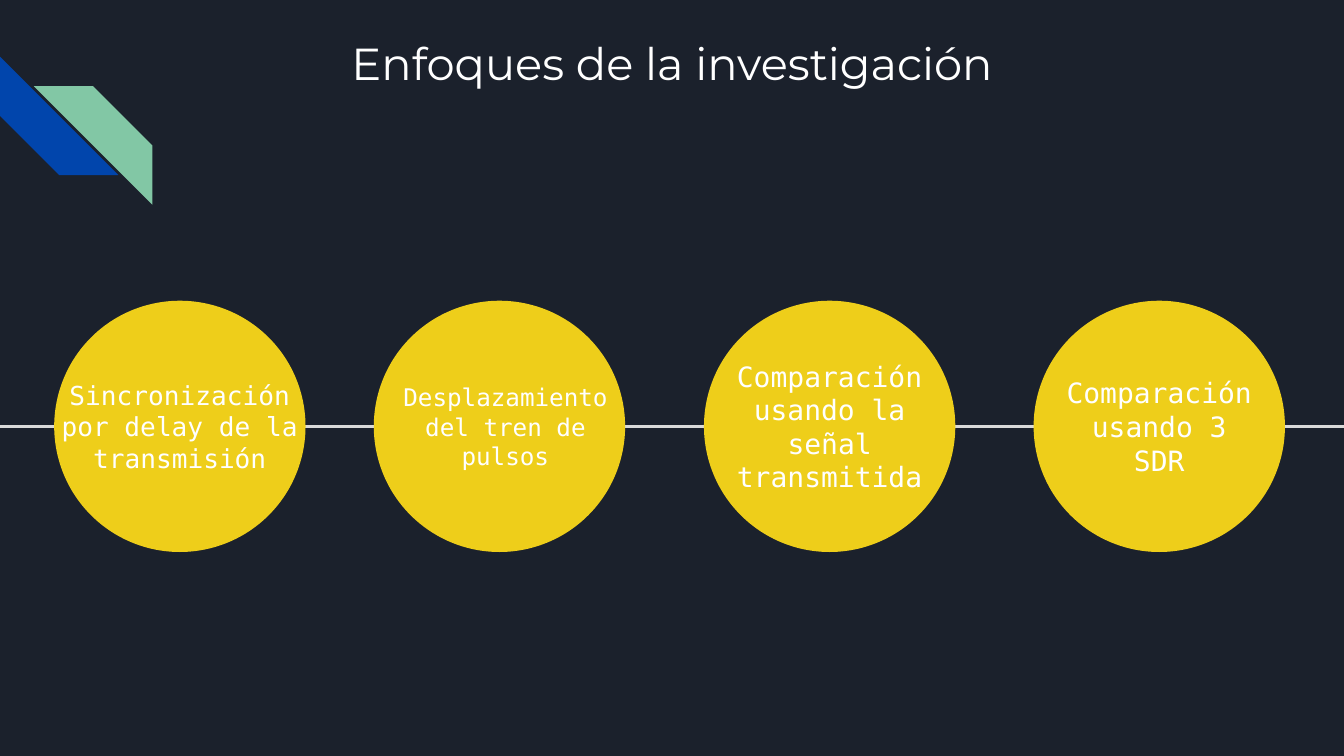
from pptx import Presentation
from pptx.dml.color import RGBColor
from pptx.enum import shapes as kinds, text as t
from pptx.oxml.ns import qn
from pptx.util import Cm, Pt
from lxml import etree

TITLE = "Enfoques de la investigación"
# text, circle centre, text centre, text width, text height (cm), font size (pt)
APPROACHES = [
    ("Sincronización por delay de la transmisión", 3.40, 3.40, 5.08, 2.54, 14),
    ("Desplazamiento del tren de pulsos", 9.44, 9.55, 5.08, 3.20, 13),
    ("Comparación usando la señal transmitida", 15.68, 15.68, 4.22, 1.68, 15),
    ("Comparación usando 3 SDR", 21.91, 21.91, 4.22, 1.68, 15),
]
# left, top (cm), rotation, colour name
STRIPES = [(0, 1.07, 270, "blue"), (0.64, 1.63, 90, "green")]
COLORS = {"background": "1B212C", "blue": "0145AC", "green": "82C7A5",
          "line": "D9D9D9", "circle": "EECE1A", "text": "FFFFFF"}
WIDTH, HEIGHT = 25.4, 14.29
AXIS_Y, DIAMETER, STRIPE_SIZE, INSET = 8.06, 4.75, 2.24, 0.25


def color(name):
    return RGBColor.from_string(COLORS[name])


def add_filled(page, kind, left, top, size, fill):
    shape = page.shapes.add_shape(kind, Cm(left), Cm(top), Cm(size), Cm(size))
    shape.shadow.inherit = False
    shape.fill.solid()
    shape.fill.fore_color.rgb = color(fill)
    shape.line.fill.background()
    return shape


def write(box, words, size, font, anchor):
    frame = box.text_frame
    frame.word_wrap = True
    frame.auto_size = t.MSO_AUTO_SIZE.NONE
    frame.vertical_anchor = anchor
    frame.margin_left = frame.margin_right = Cm(INSET)
    frame.margin_top = frame.margin_bottom = Cm(INSET)
    frame.text = words
    para = frame.paragraphs[0]
    para.alignment = t.PP_ALIGN.CENTER
    para.font.size = Pt(size)
    para.font.name = font
    para.font.color.rgb = color("text")


deck = Presentation()
deck.slide_width, deck.slide_height = Cm(WIDTH), Cm(HEIGHT)
page = deck.slides.add_slide(deck.slide_layouts[5])
page.background.fill.solid()
page.background.fill.fore_color.rgb = color("background")

title = page.shapes.title
title.left, title.top, title.width, title.height = Cm(0), Cm(0.43), Cm(WIDTH), Cm(2.54)
write(title, TITLE, 24, "Montserrat", t.MSO_ANCHOR.TOP)

for left, top, rotation, fill in STRIPES:
    stripe = add_filled(page, kinds.MSO_SHAPE.DIAGONAL_STRIPE, left, top, STRIPE_SIZE, fill)
    stripe.rotation = rotation

axis = page.shapes.add_connector(kinds.MSO_CONNECTOR.STRAIGHT,
                                 Cm(0), Cm(AXIS_Y), Cm(WIDTH), Cm(AXIS_Y))
axis.line.color.rgb = color("line")
axis.line.width = Pt(1.5)
etree.SubElement(axis._element.spPr, qn("a:effectLst"))

for words, circle_x, text_x, width, height, size in APPROACHES:
    add_filled(page, kinds.MSO_SHAPE.OVAL, circle_x - DIAMETER / 2,
               AXIS_Y - DIAMETER / 2, DIAMETER, "circle")
    label = page.shapes.add_textbox(Cm(text_x - width / 2), Cm(AXIS_Y - height / 2),
                                    Cm(width), Cm(height))
    write(label, words, size, "DejaVu Sans Mono", t.MSO_ANCHOR.MIDDLE)

deck.save("out.pptx")
